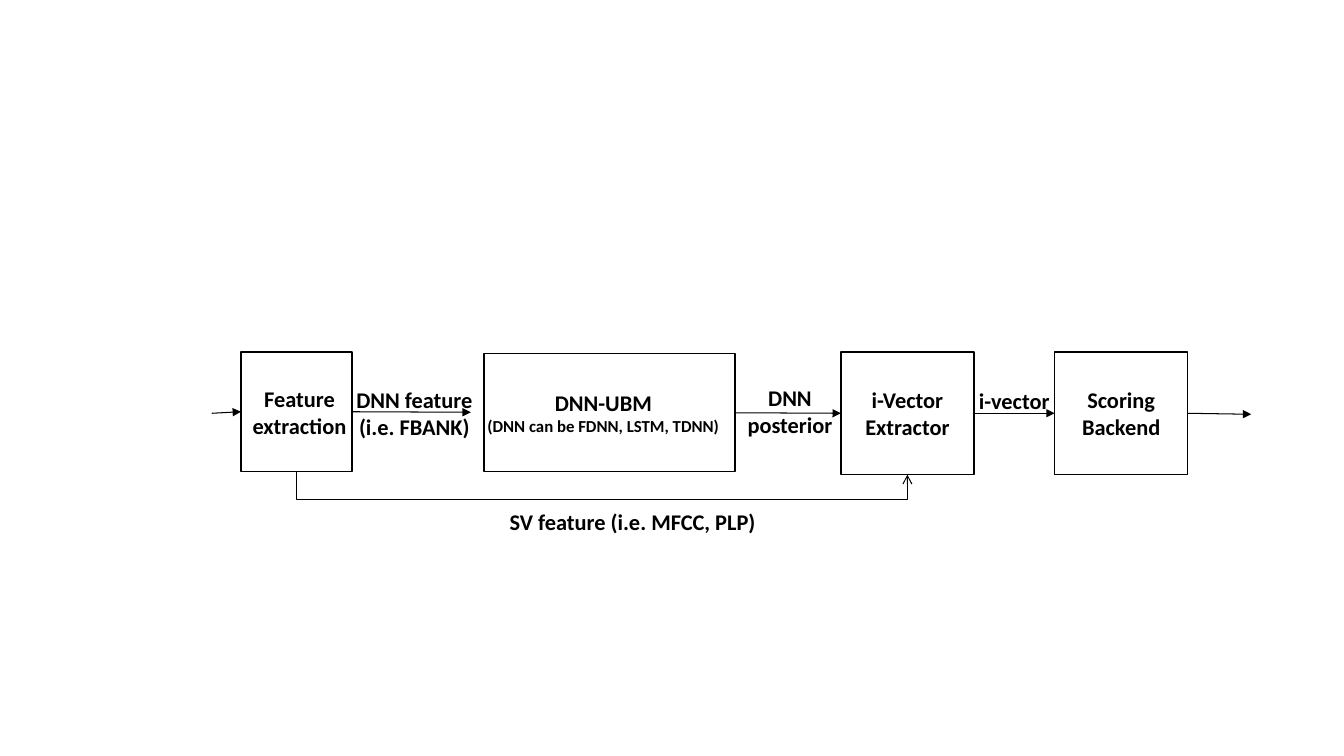
import pptx
import pptx.util
import pptx.dml.color
import pptx.enum.shapes
import pptx.enum.text
import pptx.oxml.ns
import lxml.etree

EMU_PER_PX = 9144  # 100 px to the inch
BLACK, WHITE = "000000", "FFFFFF"
ANCHOR = pptx.enum.text.MSO_ANCHOR
CONNECTOR = pptx.enum.shapes.MSO_CONNECTOR
TOP, LEFT, BOTTOM, RIGHT = range(4)


def px(length):
    return pptx.util.Emu(round(length * EMU_PER_PX))


def color(value):
    return pptx.dml.color.RGBColor.from_string(value)


def add_label(page, box, lines, anchor=ANCHOR.TOP):
    """Centred bold text; lines are (text, point size) pairs."""
    label = page.shapes.add_textbox(*map(px, box))
    frame = label.text_frame
    frame.word_wrap = True
    frame.auto_size = pptx.enum.text.MSO_AUTO_SIZE.SHAPE_TO_FIT_TEXT
    frame.vertical_anchor = anchor
    frame.margin_left = frame.margin_right = px(5)
    frame.margin_top = frame.margin_bottom = px(5)
    frame.text = "\n".join(text for text, size in lines)
    for para, (text, size) in zip(frame.paragraphs, lines):
        para.alignment = pptx.enum.text.PP_ALIGN.CENTER
        for span in para.runs:
            span.font.name = "Calibri"
            span.font.size = pptx.util.Pt(size)
            span.font.bold = True
            span.font.color.rgb = color(BLACK)


def add_stage(page, box, label_box, lines):
    """One processing block with its caption."""
    stage = page.shapes.add_shape(pptx.enum.shapes.MSO_SHAPE.RECTANGLE, *map(px, box))
    stage.shadow.inherit = False
    stage.fill.solid()
    stage.fill.fore_color.rgb = color(WHITE)
    stage.line.color.rgb = color(BLACK)
    stage.line.width = pptx.util.Pt(1)
    add_label(page, label_box, lines, ANCHOR.MIDDLE)
    return stage


def add_arrow(page, start, end, source=None, target=None,
              kind=CONNECTOR.STRAIGHT, head="triangle"):
    arrow = page.shapes.add_connector(kind, *map(px, start + end))
    arrow.line.color.rgb = color(BLACK)
    arrow.line.width = pptx.util.Pt(0.75)
    qn = pptx.oxml.ns.qn
    lxml.etree.SubElement(arrow.line._get_or_add_ln(), qn("a:tailEnd"), type=head)
    lxml.etree.SubElement(arrow._element.spPr, qn("a:effectLst"))
    if source is not None:
        arrow.begin_connect(source, RIGHT)
    if target is not None:
        arrow.end_connect(target, LEFT)
    return arrow


def add_bypass(page, start, end, drop):
    """Elbow arrow that runs below the blocks, drop px under its start."""
    rise, run = end[1] - start[1], end[0] - start[0]
    middle_x, middle_y = (start[0] + end[0]) / 2, (start[1] + end[1]) / 2
    left, top = middle_x - rise / 2, middle_y - run / 2
    arrow = add_arrow(page, (left, top + run), (left + rise, top),
                      kind=CONNECTOR.ELBOW, head="arrow")
    properties = arrow._element.spPr
    properties.find(pptx.oxml.ns.qn("a:xfrm")).set("rot", str(90 * 60000))
    guides = properties.find(pptx.oxml.ns.qn("a:prstGeom")).get_or_add_avLst()
    lxml.etree.SubElement(guides, pptx.oxml.ns.qn("a:gd"), name="adj1",
                          fmla=f"val {round(drop / rise * 100000)}")


def add_pipeline(page, box):
    """Speaker verification chain inside box (left, top, width, height)."""
    left, top, width, height = box

    def place(x, y, *size):
        return (left + x, top + y) + size

    feature = add_stage(page, place(29, 0, 110, 119), place(21, 27, 132, 66),
                        [("Feature extraction", 16)])
    network = add_stage(page, place(270, 2, 249, 117), place(257, 32, 263, 57),
                        [("DNN-UBM", 16), ("(DNN can be FDNN, LSTM, TDNN)", 12)])
    extractor, scoring = [
        add_stage(page, place(x, 0, 132, 122), place(x, 29, 132, 64),
                  [(line, 16) for line in lines])
        for x, lines in ((624, ("i-Vector", "Extractor")),
                         (836, ("Scoring", "Backend")))]

    add_arrow(page, place(0, 61), place(29, 61), target=feature)
    add_arrow(page, place(139, 59), place(257, 60), source=feature)
    add_arrow(page, place(519, 60), place(624, 61), network, extractor)
    add_arrow(page, place(756, 61), place(836, 61), extractor, scoring)
    add_arrow(page, place(968, 61), place(width, 62), source=scoring)
    add_bypass(page, place(84, 119), place(690, 122), 28)

    for label_box, lines in (
            (place(132, 29, 138, 64), ("DNN feature", "(i.e. FBANK)")),
            (place(518, 27, 111, 64), ("DNN posterior",)),
            (place(746, 30, 100, 37), ("i-vector",)),
            (place(279, height - 37, 277, 37), ("SV feature (i.e. MFCC, PLP)",))):
        add_label(page, label_box, [(line, 16) for line in lines])


def main():
    deck = pptx.Presentation()
    deck.slide_width, deck.slide_height = px(1333), px(750)
    page = deck.slides.add_slide(deck.slide_layouts[6])
    add_pipeline(page, (210, 349, 1031, 187))
    deck.save("out.pptx")


if __name__ == "__main__":
    main()
